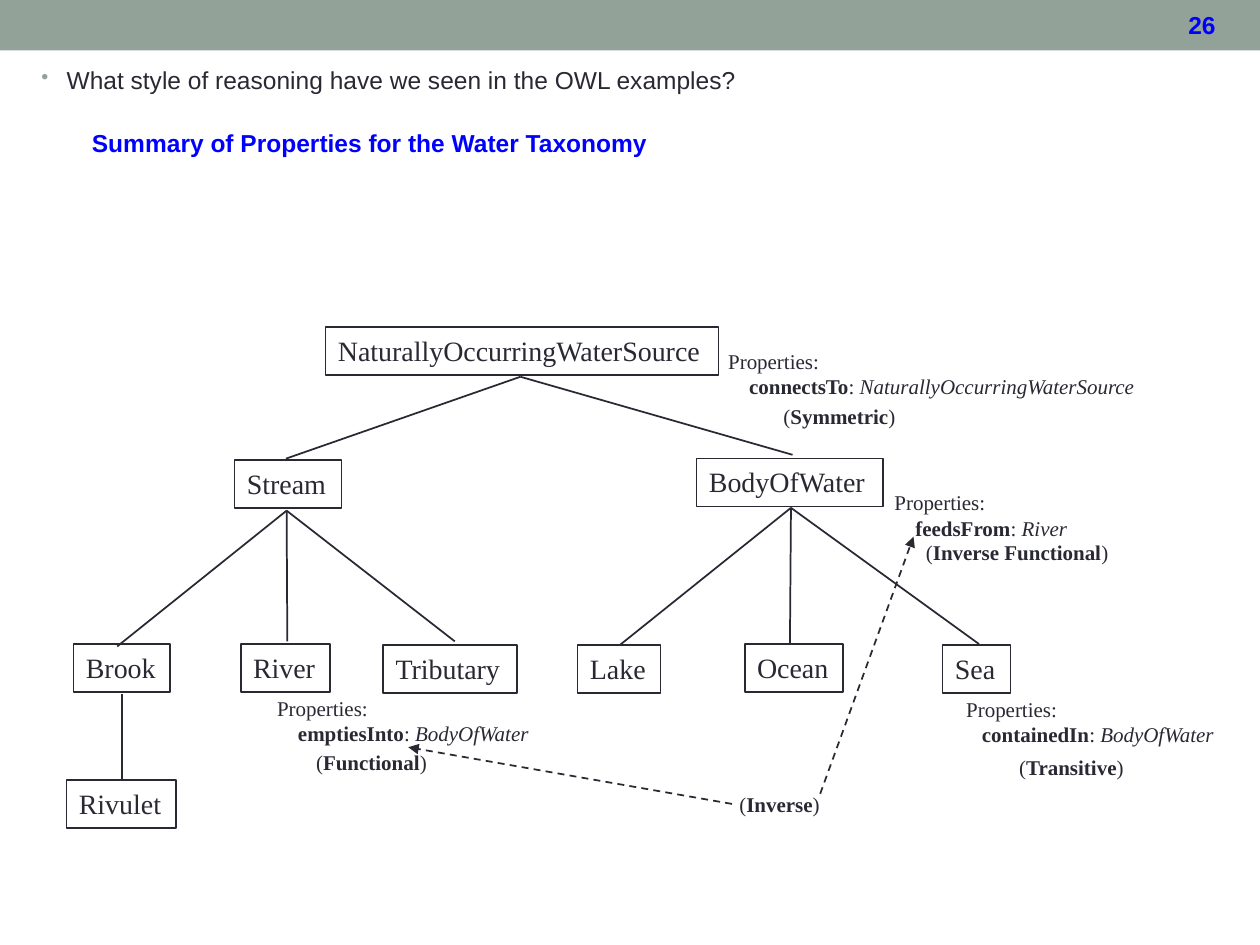
import pptx
import pptx.util
import pptx.dml.color
import pptx.enum.dml
import pptx.enum.shapes
import pptx.enum.text
import pptx.oxml

Pt = pptx.util.Pt
RGB = pptx.dml.color.RGBColor
Shape = pptx.enum.shapes.MSO_SHAPE
Align = pptx.enum.text.PP_ALIGN
Anchor = pptx.enum.text.MSO_ANCHOR
Fit = pptx.enum.text.MSO_AUTO_SIZE
INK = RGB(0x29, 0x29, 0x34)
BLUE = RGB(0, 0, 0xFF)
SAGE = RGB(0x93, 0xA2, 0x99)
SERIF, SANS = "Times New Roman", "Arial"


def make(tag, **attrs):
    """Return a new drawing element with the given attributes."""
    node = pptx.oxml.parse_xml(
        f'<a:{tag} xmlns:a="http://schemas.openxmlformats.org/drawingml/2006/main"/>')
    for key, value in attrs.items():
        node.set(key, str(value))
    return node


def write(shape, lines, font=SERIF, size=12, color=INK, bold=False,
          align=Align.LEFT, anchor=Anchor.TOP, wrap=False, inset=3.6, indent=0):
    """Fill a shape with lines of (text, style) runs; indent the later lines."""
    frame = shape.text_frame
    frame.word_wrap = wrap
    frame.auto_size = Fit.NONE if wrap else Fit.SHAPE_TO_FIT_TEXT
    frame.vertical_anchor = anchor
    frame.margin_top = frame.margin_bottom = Pt(inset)
    for row, line in enumerate(lines):
        para = frame.add_paragraph() if row else frame.paragraphs[0]
        para.alignment = align
        if row and indent:
            para._p.get_or_add_pPr().set("marL", str(Pt(indent)))
        for text, style in line:
            run = para.add_run()
            run.text = text
            run.font.name, run.font.size = font, Pt(size)
            run.font.color.rgb = color
            run.font.bold = bold or style == "b"
            run.font.italic = style == "i"


def label(slide, left, top, width, height, lines, **form):
    """Add a text box."""
    box = slide.shapes.add_textbox(Pt(left), Pt(top), Pt(width), Pt(height))
    write(box, lines, **form)
    return box


def block(slide, left, top, width, height):
    """Add a plain rectangle with neither fill nor shadow."""
    shape = slide.shapes.add_shape(
        Shape.RECTANGLE, Pt(left), Pt(top), Pt(width), Pt(height))
    shape.shadow.inherit = False
    shape.fill.background()
    return shape


def link(slide, left, top, start, end, arrow=False):
    """Draw a line between two points, dashed with a head for an arrow."""
    line = slide.shapes.add_connector(
        pptx.enum.shapes.MSO_CONNECTOR.STRAIGHT,
        Pt(left + start[0]), Pt(top + start[1]), Pt(left + end[0]), Pt(top + end[1]))
    line.line.color.rgb, line.line.width = INK, Pt(1)
    if arrow:
        line.line.dash_style = pptx.enum.dml.MSO_LINE.DASH
        line.line._get_or_add_ln().append(make("tailEnd", type="triangle"))
    line._element.spPr.append(make("effectLst"))


def banner(slide, left, top, width, height):
    """Draw the top band and its page number."""
    band = block(slide, left, top, width, height)
    band.fill.solid()
    band.fill.fore_color.rgb = SAGE
    band.line.fill.background()
    label(slide, left + width - 54.7, top + 5.8, 43.2, 16.6, [[("26", "")]],
          font=SANS, size=14, color=BLUE, bold=True, align=Align.CENTER, inset=0)


def header(slide, left, top, width):
    """Write the bulleted question and the title under it."""
    ask = label(slide, left, top, width, 28,
                [[("What style of reasoning have we seen in the OWL examples?", "")]],
                font=SANS, size=14, wrap=True)
    props = ask.text_frame.paragraphs[0]._p.get_or_add_pPr()
    props.set("marL", str(Pt(14.4)))
    props.set("indent", str(-Pt(14.4)))
    before = make("spcBef")
    before.append(make("spcPct", val=20000))
    tint = make("buClr")
    tint.append(make("srgbClr", val=SAGE))
    props.extend([before, tint, make("buSzPct", val=85000), make("buChar", char="•")])
    label(slide, left + 28.8, top + 28, 375, 39.6,
          [[("Summary of Properties for the Water Taxonomy", "")]],
          font=SANS, size=14, color=BLUE, bold=True, wrap=True, anchor=Anchor.MIDDLE)


def tree(slide, left, top):
    """Draw the classes and the lines from each parent to its children."""
    nodes = [
        ("NaturallyOccurringWaterSource", 148, 0, 224.6),
        ("Stream", 96, 75.8, 61.2), ("BodyOfWater", 360, 75, 106.6),
        ("Brook", 4, 181, 55.4), ("River", 99.5, 181, 51.1),
        ("Tributary", 181, 181.6, 76.3), ("Lake", 292, 181.6, 47.5),
        ("Ocean", 387.5, 181, 56.2), ("Sea", 500.6, 181.6, 38.9),
        ("Rivulet", 0, 258.7, 62.6)]
    for name, x, y, width in nodes:
        box = block(slide, left + x, top + y, width, 27.4)
        box.line.color.rgb, box.line.width = INK, Pt(1)
        write(box, [[(name, "")]], size=16)
    fans = [
        ((259.4, 28.3), [(125.4, 75.1), (414.9, 72.9)]),
        ((125.8, 104.8), [(29, 182.4), (126.2, 179.5), (221.9, 179.5)]),
        ((414, 103.2), [(316.2, 181.6), (413.4, 181), (521.4, 181)]),
        ((31.8, 209.7), [(31.8, 259.4)])]
    for start, ends in fans:
        for end in ends:
            link(slide, left, top, start, end)


def trait(slide, left, top, width, name):
    """Write a trait of a property in round brackets."""
    label(slide, left, top, width, 21.6, [[("(", ""), (name, "b"), (")", "")]])


def notes(slide, left, top):
    """Write the properties of the classes and join the inverse pair."""
    items = [
        ("connectsTo", "NaturallyOccurringWaterSource", 371, 8.8, 249.8, 12,
         "Symmetric", 402.6, 39.8, 78.5),
        ("feedsFrom", "River", 466, 89.5, 113.8, 12,
         "Inverse Functional", 484, 117.6, 118.8),
        ("emptiesInto", "BodyOfWater", 113.2, 206.8, 159.8, 12,
         "Functional", 135.5, 237.8, 77.8),
        ("containedIn", "BodyOfWater", 507, 207.6, 157, 9,
         "Transitive", 537.3, 240.7, 75.6)]
    for name, target, x, y, width, indent, kind, kx, ky, span in items:
        label(slide, left + x, top + y, width, 36,
              [[("Properties:", "")], [(name, "b"), (": ", ""), (target, "i")]],
              indent=indent)
        trait(slide, left + kx, top + ky, span, kind)
    trait(slide, left + 377.4, top + 261.6, 60.5, "Inverse")
    link(slide, left, top, (380.3, 272.4), (195.3, 240), arrow=True)
    link(slide, left, top, (430.7, 266.6), (484, 119.7), arrow=True)


deck = pptx.Presentation()
deck.slide_width, deck.slide_height = Pt(720), Pt(540)
page = deck.slides.add_slide(deck.slide_layouts[6])
banner(page, 0, 0, 720, 28.8)
header(page, 16.6, 33.8, 648)
tree(page, 38, 187)
notes(page, 38, 187)
deck.save("out.pptx")
